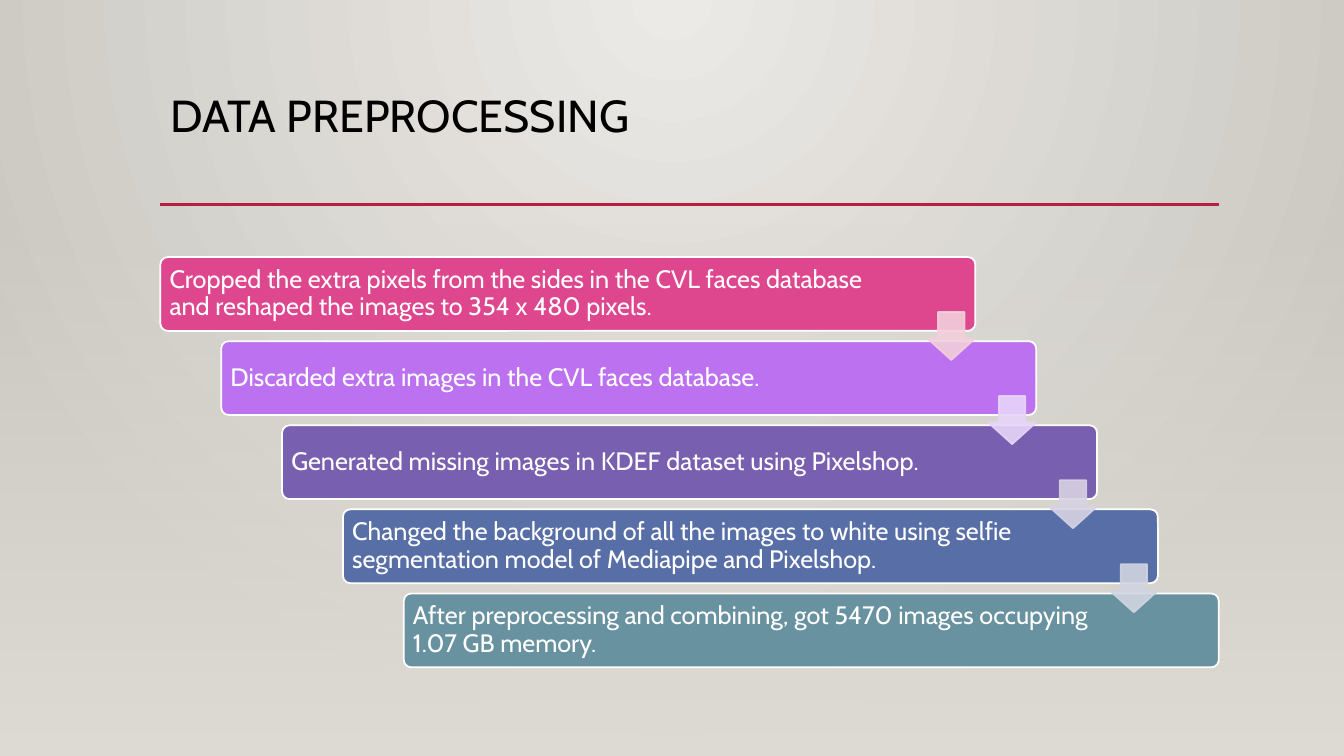
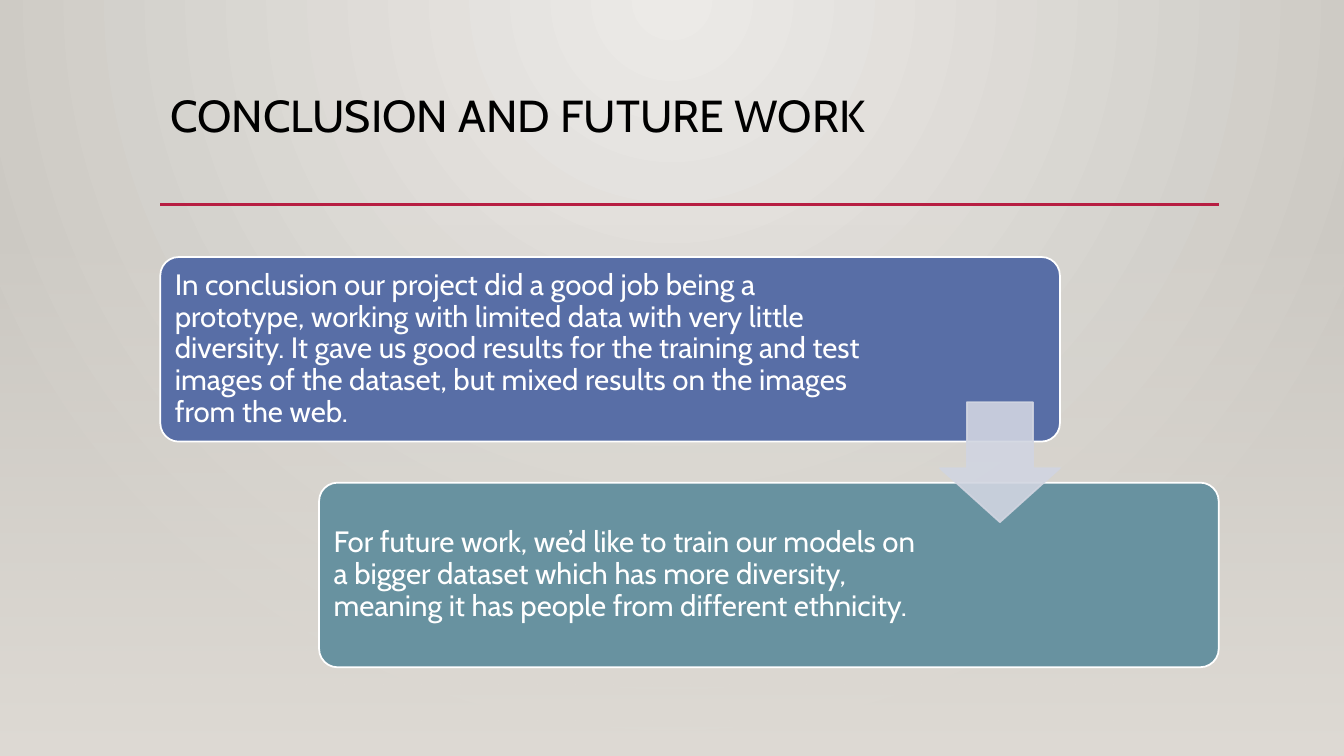
from dataclasses import dataclass

from lxml import etree
from pptx import Presentation
from pptx.dml.color import RGBColor
from pptx.enum.shapes import MSO_CONNECTOR, MSO_SHAPE
from pptx.enum.text import MSO_ANCHOR, PP_ALIGN
from pptx.oxml.ns import qn
from pptx.util import Inches, Pt

STRAIGHT = MSO_CONNECTOR.STRAIGHT
RECTANGLE = MSO_SHAPE.RECTANGLE
ROUNDED = MSO_SHAPE.ROUNDED_RECTANGLE
DOWN_ARROW = MSO_SHAPE.DOWN_ARROW
TOP, MIDDLE = MSO_ANCHOR.TOP, MSO_ANCHOR.MIDDLE
LEFT = PP_ALIGN.LEFT


@dataclass(frozen=True)
class Theme:
    font: str = "Cabin"
    title_size: int = 32
    title_color: str = "000000"
    step_text: str = "FFFFFF"
    step_border: str = "FFFFFF"
    rule: str = "B71E42"
    glow: str = "ECEAE7"
    edge: str = "CAC7C1"
    floor: str = "DFDBD5"
    rule_width: float = 2.5
    border_width: float = 1.25
    # Each hue pairs a step's fill with the fill of the arrow leaving it.
    pink: tuple = ("DE478E", "F2CFDB")
    violet: tuple = ("BC72F0", "E7D5F9")
    purple: tuple = ("795FAF", "D7D2E3")
    blue: tuple = ("586EA6", "D1D5E1")
    teal: tuple = ("6892A0", "D1D5E1")


@dataclass(frozen=True)
class Box:
    """A rectangle in inches."""
    left: float
    top: float
    width: float
    height: float

    def inner(self, left, top, width, height):
        """Return an inner box given in hundredths of this one."""
        return Box(self.left + self.width * left / 100,
                   self.top + self.height * top / 100,
                   self.width * width / 100, self.height * height / 100)

    def place(self):
        return [Inches(v) for v in (self.left, self.top, self.width, self.height)]


@dataclass(frozen=True)
class Stairs:
    """Proportions of a staircase, in hundredths of its region or of a step."""
    step_width: float
    step_height: float
    first_text: float
    later_text: float
    text_size: int
    inset: float


THEME = Theme()
PAGE = Box(0, 0, 13.33, 7.5)
TITLE = PAGE.inner(11.93, 11.73, 78.75, 15.33)
FLOOR = PAGE.inner(0, 29.47, 100, 70.53)
BODY = PAGE.inner(11.93, 34, 78.75, 54.27)
CORNER = 0.1
CORNER_TEXT_MARGIN = 0.29  # share of the corner radius kept clear of text
ARROW_SHARE = 0.65
ARROW_ADJUSTMENTS = (0.55, 0.45)
ARROW_ALPHA = 90

FIVE_STEPS = Stairs(77, 18, 89, 86, 18, 0.07)
TWO_STEPS = Stairs(85, 45, 78.75, 67.75, 21, 0.09)

PREPROCESSING = [
    ("Cropped the extra pixels from the sides in the CVL faces database "
     "and reshaped the images to 354 x 480 pixels.", THEME.pink),
    ("Discarded extra images in the CVL faces database.", THEME.violet),
    ("Generated missing images in KDEF dataset using Pixelshop.", THEME.purple),
    ("Changed the background of all the images to white using selfie "
     "segmentation model of Mediapipe and Pixelshop.", THEME.blue),
    ("After preprocessing and combining, got 5470 images occupying "
     "1.07 GB memory.", THEME.teal),
]
CONCLUSION = [
    ("In conclusion our project did a good job being a prototype, working "
     "with limited data with very little diversity. It gave us good results "
     "for the training and test images of the dataset, but mixed results on "
     "the images from the web.", THEME.blue),
    ("For future work, we’d like to train our models on a bigger dataset "
     "which has more diversity, meaning it has people from different "
     "ethnicity.", THEME.teal),
]


def add_alpha(color_element, percent):
    etree.SubElement(color_element, qn("a:alpha"), val=str(percent * 1000))


def set_gradient(fill, owner, stops, focus=None):
    """Fill with (position, colour, alpha) stops: round at focus, else downward."""
    fill.gradient()
    gradient = next(owner.iter(qn("a:gradFill")))
    for child in list(gradient):
        gradient.remove(child)
    stop_list = etree.SubElement(gradient, qn("a:gsLst"))
    for position, color, alpha in stops:
        stop = etree.SubElement(stop_list, qn("a:gs"), pos=str(position * 1000))
        add_alpha(etree.SubElement(stop, qn("a:srgbClr"), val=color), alpha)
    if focus:
        circle = etree.SubElement(gradient, qn("a:path"))
        circle.set("path", "circle")
        center = etree.SubElement(circle, qn("a:fillToRect"))
        for side, percent in zip("ltrb", focus):
            center.set(side, str(percent * 1000))
    else:
        etree.SubElement(gradient, qn("a:lin"), ang="5400000", scaled="0")


def write(shape, text, *, size, color, anchor=TOP, insets=(0.1, 0.05, 0.1, 0.05)):
    frame = shape.text_frame
    frame.word_wrap = True
    frame.vertical_anchor = anchor
    (frame.margin_left, frame.margin_top,
     frame.margin_right, frame.margin_bottom) = [Inches(v) for v in insets]
    paragraph = frame.paragraphs[0]
    paragraph.alignment = LEFT
    paragraph.line_spacing = 0.9
    run = paragraph.add_run()
    run.text = text
    run.font.name = THEME.font
    run.font.size = Pt(size)
    run.font.color.rgb = RGBColor.from_string(color)


def add_solid(slide, preset, box, fill, border, adjustments, alpha=None):
    shape = slide.shapes.add_shape(preset, *box.place())
    shape.shadow.inherit = False
    for index, value in enumerate(adjustments):
        shape.adjustments[index] = value
    shape.fill.solid()
    shape.fill.fore_color.rgb = RGBColor.from_string(fill)
    shape.line.color.rgb = RGBColor.from_string(border)
    shape.line.width = Pt(THEME.border_width)
    if alpha is not None:
        for color in shape.element.spPr.iter(qn("a:srgbClr")):
            add_alpha(color, alpha)
    return shape


def add_backdrop(slide):
    set_gradient(slide.background.fill, slide.element,
                 [(0, THEME.glow, 100), (100, THEME.edge, 100)],
                 focus=(43, 0, 43, 100))
    floor = slide.shapes.add_shape(RECTANGLE, *FLOOR.place())
    floor.shadow.inherit = False
    floor.line.fill.background()
    set_gradient(floor.fill, floor.element.spPr,
                 [(0, THEME.floor, 0), (100, THEME.floor, 100)])


def add_title(slide, box, text):
    """Write the title and draw the rule along the lower edge of its box."""
    title = slide.shapes.add_textbox(*box.place())
    write(title, text, size=THEME.title_size, color=THEME.title_color)
    left, top, width, height = box.place()
    rule = slide.shapes.add_connector(
        STRAIGHT, left, top + height, left + width, top + height)
    rule.line.color.rgb = RGBColor.from_string(THEME.rule)
    rule.line.width = Pt(THEME.rule_width)
    etree.SubElement(rule.element.spPr, qn("a:effectLst"))


def add_step(slide, box, text, fill, text_share, stairs):
    step = add_solid(slide, ROUNDED, box, fill, THEME.step_border, [CORNER])
    clear = box.height * CORNER * CORNER_TEXT_MARGIN
    text_width = box.width * text_share / 100
    inset = stairs.inset
    right = box.width - 2 * clear - text_width + inset
    write(step, text, size=stairs.text_size, color=THEME.step_text,
          anchor=MIDDLE, insets=(inset, inset, right, inset))


def add_staircase(slide, region, steps, stairs):
    """Spread the steps from corner to corner and link them with arrows."""
    gaps = len(steps) - 1
    shift = (100 - stairs.step_width) / gaps
    pitch = (100 - stairs.step_height) / gaps
    boxes = [region.inner(i * shift, i * pitch, stairs.step_width, stairs.step_height)
             for i in range(len(steps))]
    for i, (box, (text, (fill, _))) in enumerate(zip(boxes, steps)):
        share = stairs.later_text if i else stairs.first_text
        add_step(slide, box, text, fill, share, stairs)
    for upper, lower, (_, (_, tint)) in zip(boxes, boxes[1:], steps):
        side = upper.height * ARROW_SHARE
        middle = (upper.top + upper.height + lower.top) / 2
        arrow = Box(upper.left + upper.width - side, middle - side / 2, side, side)
        add_solid(slide, DOWN_ARROW, arrow, tint, tint, ARROW_ADJUSTMENTS, ARROW_ALPHA)


def add_stairs_slide(deck, title, steps, stairs):
    slide = deck.slides.add_slide(deck.slide_layouts[6])
    add_backdrop(slide)
    add_title(slide, TITLE, title)
    add_staircase(slide, BODY, steps, stairs)


def main():
    deck = Presentation()
    deck.slide_width, deck.slide_height = PAGE.place()[2:]
    add_stairs_slide(deck, "DATA PREPROCESSING", PREPROCESSING, FIVE_STEPS)
    add_stairs_slide(deck, "CONCLUSION AND FUTURE WORK", CONCLUSION, TWO_STEPS)
    deck.save("out.pptx")


if __name__ == "__main__":
    main()
